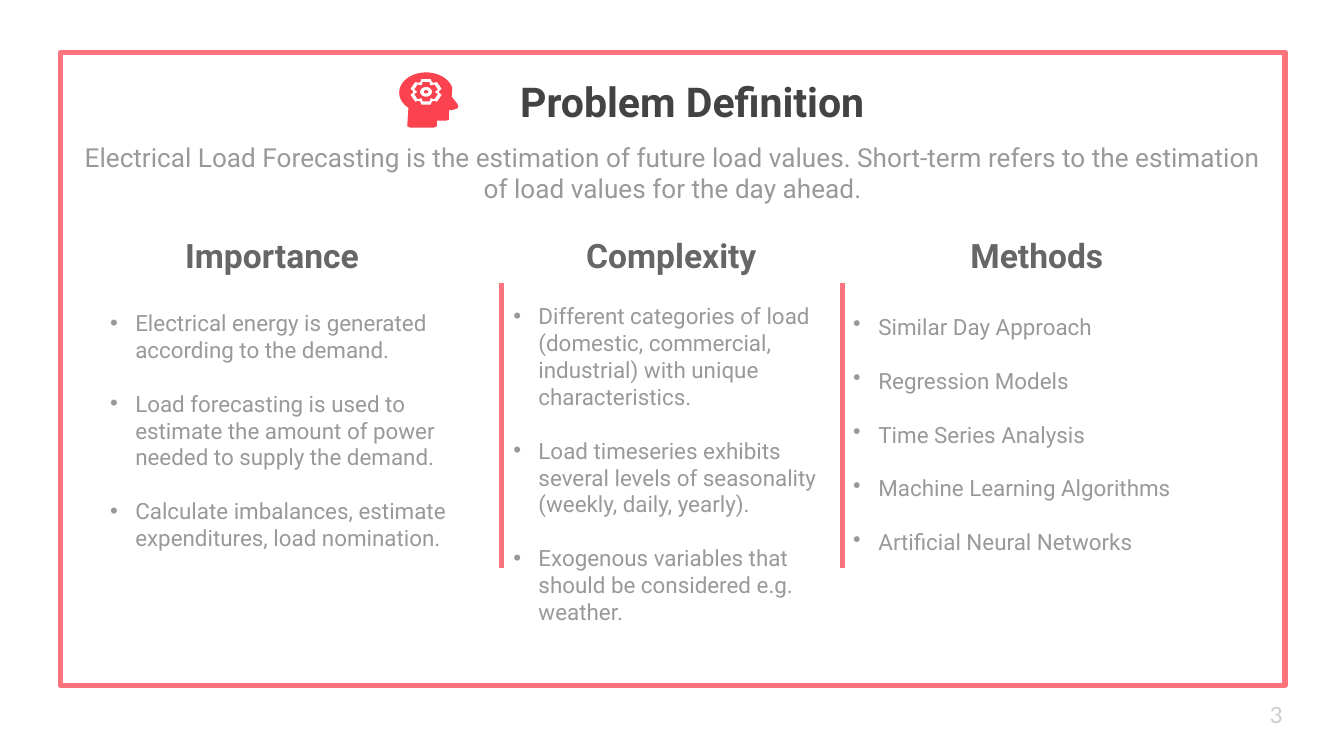
from math import cos, radians, sin

from lxml import etree
from pptx import Presentation
from pptx.dml.color import RGBColor
from pptx.enum.shapes import MSO_CONNECTOR, MSO_SHAPE
from pptx.enum.text import MSO_ANCHOR, MSO_AUTO_SIZE, PP_ALIGN
from pptx.oxml.ns import qn
from pptx.util import Pt

TOP, MIDDLE, BOTTOM = MSO_ANCHOR.TOP, MSO_ANCHOR.MIDDLE, MSO_ANCHOR.BOTTOM
LEFT, CENTER = PP_ALIGN.LEFT, PP_ALIGN.CENTER
STRAIGHT, RECTANGLE = MSO_CONNECTOR.STRAIGHT, MSO_SHAPE.RECTANGLE
NO_AUTOFIT = MSO_AUTO_SIZE.NONE

COLORS = {
    "frame": "FF737D",
    "icon": "FB424F",
    "title": "434343",
    "heading": "666666",
    "body": "999999",
    "number": "CCCCCC",
}

STYLES = {
    "title": {"name": "Roboto", "size": Pt(22), "bold": True},
    "heading": {"name": "Roboto", "size": Pt(18), "bold": True},
    "intro": {"name": "Roboto", "size": Pt(14), "bold": False},
    "body": {"name": "Roboto", "size": Pt(12), "bold": False},
    "number": {"name": "Lato", "size": Pt(12), "bold": False},
}

INTRO = (
    "Electrical Load Forecasting is the estimation of future load values. "
    "Short-term refers to the estimation of load values for the day ahead."
)

COLUMNS = [
    ("Importance", (62.6, 127.4, 166.3, 27.4), (51.8, 158.4, 209.5, 148.3), [
        "Electrical energy is generated according to the demand.",
        "Load forecasting is used to estimate the amount of power needed to supply the demand.",
        "Calculate imbalances, estimate expenditures, load nomination.",
    ]),
    ("Complexity", (276.5, 127.4, 166.3, 27.4), (267.8, 154.8, 193.7, 182.2), [
        "Different categories of load (domestic, commercial, industrial) with unique characteristics.",
        "Load timeseries exhibits several levels of seasonality (weekly, daily, yearly).",
        "Exogenous variables that should be considered e.g. weather.",
    ]),
    ("Methods", (472.3, 127.4, 166.3, 27.4), (450, 160.6, 200.9, 148.3), [
        "Similar Day Approach",
        "Regression Models",
        "Time Series Analysis",
        "Machine Learning Algorithms",
        "Artificial Neural Networks",
    ]),
]

FACE = [
    (28.1, 13), (31, 16.6), (31.7, 18), (31, 19.4), (28.1, 20.2), (26.6, 20.2),
    (26.6, 25.2), (25.2, 25.9), (20.2, 25.9), (20.2, 28.8), (18.7, 29.5),
    (5.8, 29.5), (4.3, 28.8),
]


def color(key):
    """Return the named palette colour."""
    return RGBColor.from_string(COLORS[key])


def add_bullet(para):
    """Give a paragraph a hanging round bullet."""
    props = para._p.get_or_add_pPr()
    props.set("marL", str(Pt(13.5)))
    props.set("indent", str(Pt(-13.5)))
    tint = etree.SubElement(props, qn("a:buClr"))
    etree.SubElement(tint, qn("a:srgbClr")).set("val", COLORS["body"])
    etree.SubElement(props, qn("a:buChar")).set("char", "•")


def write(page, box, texts, style, tint, align=LEFT, anchor=TOP, holder=None, bullets=False):
    """Write paragraphs into a placeholder, or a new text box, at the given box."""
    lengths = [Pt(value) for value in box]
    shape = holder or page.shapes.add_textbox(*lengths)
    shape.left, shape.top, shape.width, shape.height = lengths
    frame = shape.text_frame
    layout = {"word_wrap": True, "auto_size": NO_AUTOFIT, "vertical_anchor": anchor}
    layout.update({f"margin_{side}": Pt(7.2) for side in ("left", "top", "right", "bottom")})
    for name, value in layout.items():
        setattr(frame, name, value)
    for index, text in enumerate(texts):
        para = frame.add_paragraph() if index else frame.paragraphs[0]
        if bullets:
            add_bullet(para)
        spacing = {"alignment": align, "line_spacing": 1.0, "space_after": Pt(0),
                   "space_before": Pt(14.4 if index else 0)}
        for name, value in spacing.items():
            setattr(para, name, value)
        span = para.add_run()
        span.text = text
        for name, value in STYLES[style].items():
            setattr(span.font, name, value)
        span.font.color.rgb = color(tint)
    return frame


def add_frame(page, box):
    """Draw the outline around the content."""
    border = page.shapes.add_shape(RECTANGLE, *[Pt(value) for value in box])
    border.shadow.inherit = False
    border.fill.background()
    border.line.color.rgb = color("frame")
    border.line.width = Pt(3)


def add_divider(page, box):
    """Draw a vertical rule down the left edge of the box."""
    left, top, _, height = box
    rule = page.shapes.add_connector(STRAIGHT, Pt(left), Pt(top), Pt(left), Pt(top + height))
    rule.line.color.rgb = color("frame")
    rule.line.width = Pt(3)
    etree.SubElement(rule._element.spPr, qn("a:effectLst"))


def arc(center, radii, start=0, end=350, step=10):
    """Return points along an elliptical arc."""
    return [
        (center[0] + radii[0] * cos(radians(angle)), center[1] + radii[1] * sin(radians(angle)))
        for angle in range(start, end + 1, step)
    ]


def gear(center, outer, inner):
    """Return the outline of a wide six-toothed gear."""
    points = []
    for tooth in range(-90, 270, 60):
        for offset, radius in ((-26, inner), (-17, outer), (17, outer), (26, inner)):
            points += arc(center, (radius * 1.2, radius), tooth + offset, tooth + offset)
    return points


def add_head_icon(page, box):
    """Draw a head in profile with a gear cut out of it."""
    hub = (14.4, 10.4)
    contours = [
        arc((14.4, 10.8), (14.4, 10.8), 131, 349, 6) + FACE,
        gear(hub, 7.2, 5.9),
        gear(hub, 5.4, 4.1),
        arc(hub, (3.2, 2.6)),
        arc(hub, (1.2, 0.9)),
    ]
    builder = None
    for contour in contours:
        start, *rest = [(Pt(x), Pt(y)) for x, y in contour]
        if builder:
            builder.move_to(*start)
        else:
            builder = page.shapes.build_freeform(*start)
        builder.add_line_segments(rest, close=True)
    head = builder.convert_to_shape(Pt(box[0]), Pt(box[1]))
    head.shadow.inherit = False
    head.fill.solid()
    head.fill.fore_color.rgb = color("icon")
    head.line.fill.background()


def add_header(page, box):
    """Place the title, its icon and the introduction in the box."""
    left, top, width, _ = box
    title = write(page, (left + 52.6, top, 544.3, 38.2), ["Problem Definition"], "title", "title",
                  CENTER, holder=page.shapes.title)
    title.margin_left = Pt(28.8)
    add_head_icon(page, (left + 178.6, top + 5, 31.7, 29.5))
    write(page, (left, top + 34.6, width, 59), [INTRO], "intro", "body", CENTER)


def add_column(page, heading, heading_box, list_box, items, holders):
    """Place a heading and its bulleted list."""
    write(page, heading_box, [heading], "heading", "heading", CENTER, BOTTOM, holders[0])
    write(page, list_box, items, "body", "body", holder=holders[1], bullets=True)


def main():
    """Build and save the deck."""
    deck = Presentation()
    deck.slide_width, deck.slide_height = Pt(720), Pt(405)
    page = deck.slides.add_slide(deck.slide_layouts[4])
    _, *bodies = page.placeholders
    holders = [bodies[:2], bodies[2:], (None, None)]
    add_frame(page, (32.4, 28.1, 655.9, 339.1))
    for left in (268.6, 451.4):
        add_divider(page, (left, 151.9, 0, 152.6))
    add_header(page, (35.3, 33.8, 650.2, 93.6))
    for column, pair in zip(COLUMNS, holders):
        add_column(page, *column, pair)
    write(page, (673.2, 367.2, 43.2, 31), ["3"], "number", "number", anchor=MIDDLE)
    deck.save("out.pptx")


if __name__ == "__main__":
    main()
